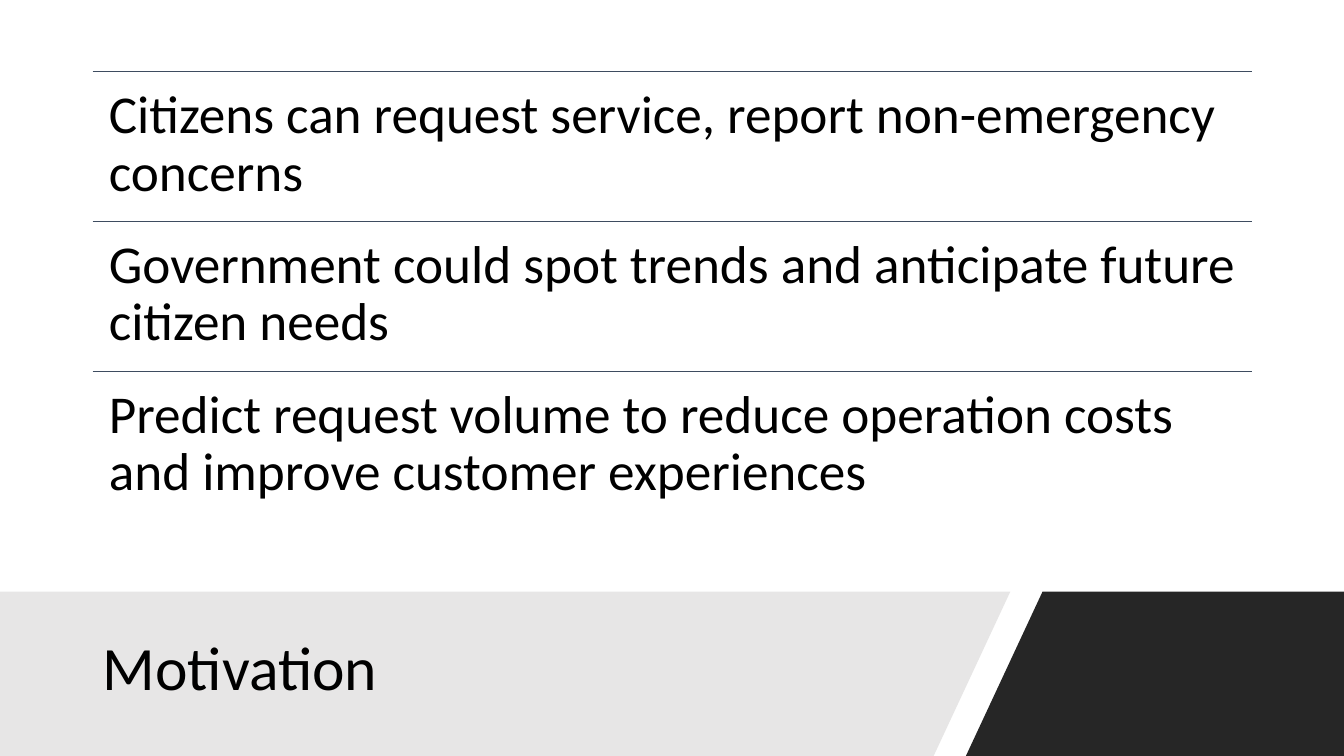
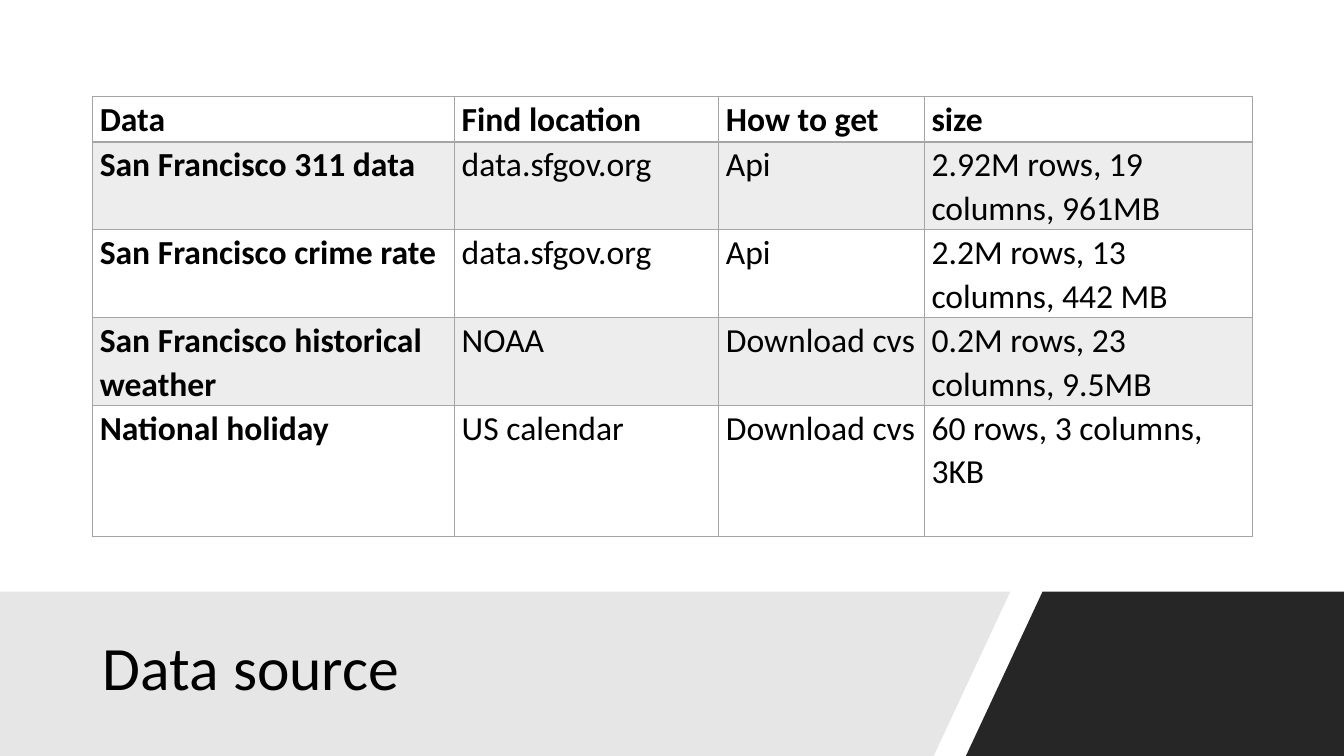
from lxml.etree import SubElement
from pptx import Presentation
from pptx.dml.color import RGBColor
from pptx.enum.shapes import MSO_CONNECTOR
from pptx.enum.text import MSO_ANCHOR, MSO_AUTO_SIZE, PP_ALIGN
from pptx.oxml import parse_xml
from pptx.oxml.ns import nsdecls, qn
from pptx.util import Inches, Pt

COLORS = {"text": "000000", "dark": "262626", "light": "E7E6E6",
          "rule": "3E4C60", "border": "A5A5A5", "stripe": "EDEDED"}
FONT = "Calibri"
SLIDE_W, SLIDE_H = 13.33, 7.5
LEFT, CONTENT_W = 0.92, 11.5
BAND_TOP = 5.87


def rgb(name):
    return RGBColor.from_string(COLORS[name])


def set_text(tf, text, size, spacing, bold=False):
    tf.text = text
    p = tf.paragraphs[0]
    p.alignment = PP_ALIGN.LEFT
    p.line_spacing = spacing
    font = p.runs[0].font
    font.name, font.size, font.bold = FONT, Pt(size), bold
    font.color.rgb = rgb("text")


def set_margins(box, x, y):
    box.margin_left = box.margin_right = Inches(x)
    box.margin_top = box.margin_bottom = Inches(y)


def add_polygon(s, points, color):
    points = [(Inches(x), Inches(y)) for x, y in points]
    builder = s.shapes.build_freeform(*points[0])
    builder.add_line_segments(points[1:], close=True)
    sp = builder.convert_to_shape()
    sp.shadow.inherit = False
    sp.fill.solid()
    sp.fill.fore_color.rgb = rgb(color)
    sp.line.fill.background()


def add_base_slide(prs, title):
    """Slide with the slanted bottom bands and the title on top of them."""
    s = prs.slides.add_slide(prs.slide_layouts[5])
    add_polygon(s, [(10.34, BAND_TOP), (SLIDE_W, BAND_TOP),
                    (SLIDE_W, SLIDE_H), (9.58, SLIDE_H)], "dark")
    add_polygon(s, [(0, BAND_TOP), (10.02, BAND_TOP),
                    (9.26, SLIDE_H), (0, SLIDE_H)], "light")
    sp = s.shapes.title
    sp.left, sp.top = Inches(LEFT), Inches(6.05)
    sp.width, sp.height = Inches(8.44), Inches(1.2)
    tf = sp.text_frame
    set_text(tf, title, 44, 0.9)
    tf.vertical_anchor = MSO_ANCHOR.MIDDLE
    tf.auto_size = MSO_AUTO_SIZE.NONE
    # Bring the title in front of the bands
    sp.element.getparent().append(sp.element)
    return s


def add_ruled_list(s, items, x, y, w, h):
    """Equal rows, each with a rule along its top edge."""
    row_h = h / len(items)
    for i, item in enumerate(items):
        top = y + i * row_h
        line = s.shapes.add_connector(MSO_CONNECTOR.STRAIGHT, Inches(x), Inches(top),
                                      Inches(x + w), Inches(top))
        line.line.color.rgb = rgb("rule")
        line.line.width = Pt(1)
        SubElement(line.element.spPr, qn("a:effectLst"))
        tf = s.shapes.add_textbox(Inches(x), Inches(top), Inches(w), Inches(row_h)).text_frame
        tf.word_wrap = True
        set_margins(tf, 0.16, 0.16)
        set_text(tf, item, 38, 0.9)


def set_borders(cell, bottom):
    widths = {"lnL": 1, "lnR": 1, "lnT": 1, "lnB": bottom}
    tcPr = cell._tc.get_or_add_tcPr()
    for i, (tag, width) in enumerate(widths.items()):
        tcPr.insert(i, parse_xml(
            f'<a:{tag} {nsdecls("a")} w="{Pt(width)}"><a:solidFill>'
            f'<a:srgbClr val="{COLORS["border"]}"/></a:solidFill></a:{tag}>'))


def add_data_table(s, rows, x, y, col_widths, row_heights):
    """Bordered table with bold header row and first column."""
    table = s.shapes.add_table(len(rows), len(col_widths), Inches(x), Inches(y),
                               Inches(sum(col_widths)), Inches(sum(row_heights))).table
    table.first_row = table.horz_banding = False
    for col, width in zip(table.columns, col_widths):
        col.width = Inches(width)
    for r, (values, height) in enumerate(zip(rows, row_heights)):
        table.rows[r].height = Inches(height)
        for c, value in enumerate(values):
            cell = table.cell(r, c)
            set_margins(cell, 0.07, 0)
            set_text(cell.text_frame, value, 24, 1.07, bold=r == 0 or c == 0)
            if r % 2:
                cell.fill.solid()
                cell.fill.fore_color.rgb = rgb("stripe")
            else:
                cell.fill.background()
            set_borders(cell, bottom=2 if r == 0 else 1)


def build_motivation(prs):
    s = add_base_slide(prs, "Motivation")
    add_ruled_list(s, [
        "Citizens can request service, report non-emergency concerns",
        "Government could spot trends and anticipate future citizen needs",
        "Predict request volume to reduce operation costs and improve customer experiences",
    ], LEFT, 0.71, CONTENT_W, 4.46)


def build_data_source(prs):
    s = add_base_slide(prs, "Data source")
    add_data_table(s, [
        ("Data", "Find location", "How to get", "size"),
        ("San Francisco 311 data", "data.sfgov.org", "Api", "2.92M rows, 19 columns, 961MB"),
        ("San Francisco crime rate", "data.sfgov.org", "Api", "2.2M rows, 13 columns, 442 MB"),
        ("San Francisco historical weather", "NOAA", "Download cvs",
         "0.2M rows, 23 columns, 9.5MB"),
        ("National holiday", "US calendar", "Download cvs", "60 rows, 3 columns, 3KB"),
    ], LEFT, 0.96, [3.59, 2.62, 2.04, 3.25], [0.45, 0.87, 0.87, 0.87, 1.3])


def main():
    prs = Presentation()
    prs.slide_width, prs.slide_height = Inches(SLIDE_W), Inches(SLIDE_H)
    build_motivation(prs)
    build_data_source(prs)
    prs.save("out.pptx")


if __name__ == "__main__":
    main()
